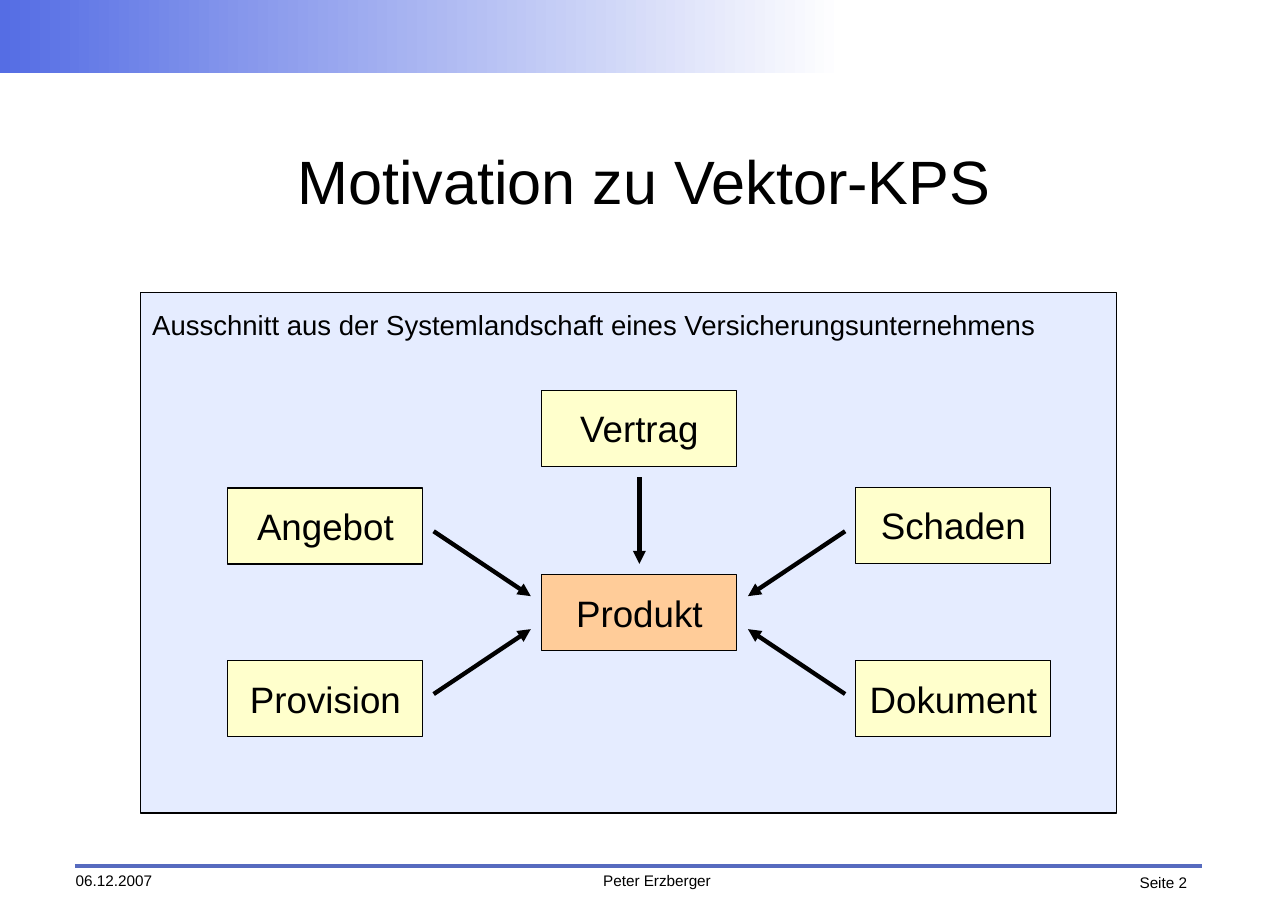
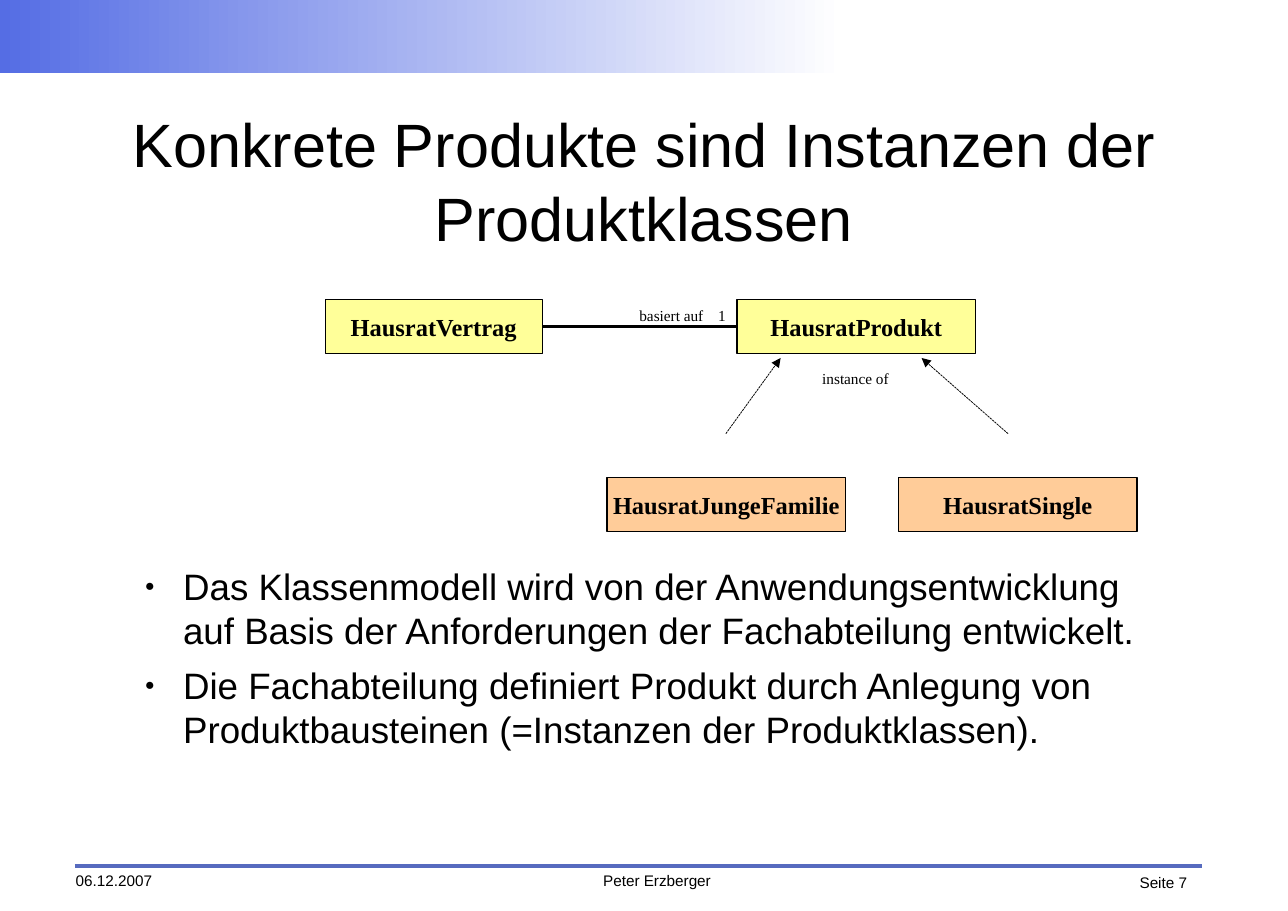
from dataclasses import dataclass

from lxml.etree import SubElement
from pptx import Presentation
from pptx.dml.color import RGBColor
from pptx.enum.dml import MSO_LINE
from pptx.enum.shapes import MSO_CONNECTOR, MSO_SHAPE
from pptx.enum.text import MSO_ANCHOR, PP_ALIGN
from pptx.oxml.ns import qn
from pptx.util import Pt


@dataclass(frozen=True)
class Theme:
    black: str = "000000"
    white: str = "FFFFFF"
    band: str = "556DE4"
    rule: str = "576BBF"
    panel: str = "0047FF"
    system: str = "FFFFCC"
    model_class: str = "FFFF99"
    product: str = "FFCC99"
    sans: str = "Arial"
    serif: str = "Times New Roman"
    title_size: float = 40
    body_size: float = 24
    caption_size: float = 18
    class_size: float = 16
    small_size: float = 10
    hairline: float = 0
    dotted_width: float = 0.5
    thick: float = 2.83


class DeckBuilder:
    """Holds the theme and the page being filled; lengths are in points."""

    def __init__(self, theme):
        self.theme = theme
        self.deck = Presentation()
        self.deck.slide_width = Pt(842)
        self.deck.slide_height = Pt(595.5)
        self.page = None

    def new_page(self, title, number):
        """Start a page with the shared band, title and footer."""
        theme = self.theme
        self.page = self.deck.slides.add_slide(self.deck.slide_layouts[6])
        self.band()
        self.line((49, 566.3), (785.5, 566.3), theme.thick, color=theme.rule)
        self.text((49.5, 569.5, 84, 14), "06.12.2007", theme.small_size)
        self.text((371.5, 569.5, 116, 14), "Peter Erzberger", theme.small_size,
                  align=PP_ALIGN.CENTER)
        self.text((720, 571, 56, 14), f"Seite {number}", theme.small_size,
                  align=PP_ALIGN.RIGHT)
        self.text((85.7, 68.4, 670.3, 98.6), title, theme.title_size,
                  align=PP_ALIGN.CENTER, anchor=MSO_ANCHOR.MIDDLE)

    def band(self):
        band = self.rectangle((0, 0, 552, 48))
        band.line.fill.background()
        band.fill.gradient()
        band.fill.gradient_angle = 0
        for stop, color in zip(band.fill.gradient_stops,
                               (self.theme.band, self.theme.white)):
            stop.color.rgb = RGBColor.from_string(color)

    def rectangle(self, frame):
        shape = self.page.shapes.add_shape(MSO_SHAPE.RECTANGLE, *map(Pt, frame))
        shape.shadow.inherit = False
        return shape

    def box(self, frame, fill, text="", size=None, font=None, bold=False):
        """Add a hairline-framed rectangle with centred text."""
        box = self.rectangle(frame)
        box.fill.solid()
        box.fill.fore_color.rgb = RGBColor.from_string(fill)
        box.line.color.rgb = RGBColor.from_string(self.theme.black)
        box.line.width = Pt(self.theme.hairline)
        if text:
            self.prepare(box.text_frame, MSO_ANCHOR.MIDDLE)
            self.add_span(box.text_frame.paragraphs[0], text, size, font,
                          PP_ALIGN.CENTER, bold)
        return box

    def panel(self, frame, opacity):
        panel = self.box(frame, self.theme.panel)
        color = panel.element.spPr.find(qn("a:solidFill"))[0]
        SubElement(color, qn("a:alpha"), val=str(opacity * 1000))

    def text(self, frame, text, size, font=None, align=PP_ALIGN.LEFT,
             anchor=MSO_ANCHOR.TOP):
        box = self.page.shapes.add_textbox(*map(Pt, frame))
        self.prepare(box.text_frame, anchor)
        self.add_span(box.text_frame.paragraphs[0], text, size, font, align)

    def bullets(self, frame, items):
        text_frame = self.page.shapes.add_textbox(*map(Pt, frame)).text_frame
        self.prepare(text_frame, MSO_ANCHOR.TOP)
        for index, item in enumerate(items):
            para = text_frame.add_paragraph() if index else text_frame.paragraphs[0]
            self.add_span(para, item, self.theme.body_size)
            para.space_after = Pt(7.1)
            properties = para._p.get_or_add_pPr()
            properties.set("marL", str(Pt(34)))
            properties.set("indent", str(Pt(-25)))
            SubElement(properties, qn("a:buSzPct"), val="45000")
            SubElement(properties, qn("a:buFont"), typeface=self.theme.sans)
            SubElement(properties, qn("a:buChar"), char="●")

    def prepare(self, text_frame, anchor):
        """Wrap the text, drop the insets and set the anchor."""
        text_frame.word_wrap = True
        text_frame.vertical_anchor = anchor
        text_frame.margin_left = text_frame.margin_right = Pt(0)
        text_frame.margin_top = text_frame.margin_bottom = Pt(0)

    def add_span(self, para, text, size, font=None, align=PP_ALIGN.LEFT, bold=False):
        para.alignment = align
        span = para.add_run()
        span.text = text
        span.font.name = font or self.theme.sans
        span.font.size = Pt(size)
        span.font.bold = bold
        span.font.color.rgb = RGBColor.from_string(self.theme.black)

    def line(self, start, end, width, color=None, arrow=False, dotted=False):
        line = self.page.shapes.add_connector(
            MSO_CONNECTOR.STRAIGHT, *map(Pt, (*start, *end)))
        line.line.color.rgb = RGBColor.from_string(color or self.theme.black)
        line.line.width = Pt(width)
        if dotted:
            line.line.dash_style = MSO_LINE.SQUARE_DOT
        properties = line.element.spPr
        if arrow:
            SubElement(properties.find(qn("a:ln")), qn("a:tailEnd"), type="triangle")
        SubElement(properties, qn("a:effectLst"))
        return line

    def association(self, source, target):
        """Join the right side of source to the left side of target."""
        line = self.line((0, 0), (0, 0), self.theme.hairline)
        line.begin_connect(source, 3)
        line.end_connect(target, 1)


def build_motivation(builder):
    theme = builder.theme
    builder.new_page("Motivation zu Vektor-KPS", 2)
    builder.panel((92, 191.5, 638, 340), opacity=10)
    builder.text((99.5, 201.6, 638, 32),
                 "Ausschnitt aus der Systemlandschaft eines Versicherungsunternehmens",
                 theme.caption_size)

    left, column_step = 149, 205.25
    for name, column, top, fill in (
        ("Vertrag", 1, 255, theme.system),
        ("Angebot", 0, 319, theme.system),
        ("Schaden", 2, 318.5, theme.system),
        ("Dokument", 2, 432, theme.system),
        ("Provision", 0, 432, theme.system),
        ("Produkt", 1, 375.8, theme.product),
    ):
        builder.box((left + column * column_step, top, 127.5, 49.7), fill,
                    name, theme.body_size)

    center_x, center_y = 418, 400.5
    builder.line((center_x, 312), (center_x, 368.6), theme.thick, arrow=True)
    for side in (-1, 1):
        for level in (-1, 1):
            builder.line((center_x + side * 134.5, center_y + level * 53.2),
                         (center_x + side * 71, center_y + level * 10.8),
                         theme.thick, arrow=True)


def build_instances(builder):
    theme = builder.theme
    builder.new_page("Konkrete Produkte sind Instanzen der Produktklassen", 7)
    builder.bullets((85.7, 368.6, 670.3, 148), (
        "Das Klassenmodell wird von der Anwendungsentwicklung auf Basis der "
        "Anforderungen der Fachabteilung entwickelt.",
        "Die Fachabteilung definiert Produkt durch Anlegung von "
        "Produktbausteinen (=Instanzen der Produktklassen).",
    ))

    class_row, instance_row = 195.8, 312
    contract, product, _, _ = [
        builder.box((left, top, width, 35.3), fill, name,
                    theme.class_size, theme.serif, bold=True)
        for name, left, top, width, fill in (
            ("HausratVertrag", 212.5, class_row, 142, theme.model_class),
            ("HausratProdukt", 481.8, class_row, 156, theme.model_class),
            ("HausratJungeFamilie", 396.8, instance_row, 156, theme.product),
            ("HausratSingle", 587.3, instance_row, 156, theme.product),
        )
    ]
    builder.association(contract, product)
    for start_x, end_x in ((474.5, 510.3), (659, 602.5)):
        builder.line((start_x, 283.5), (end_x, 234), theme.dotted_width,
                     arrow=True, dotted=True)

    for label, left, top, width, align in (
        ("basiert auf", 418, 200, 48, PP_ALIGN.LEFT),
        ("1", 469.5, 200, 8, PP_ALIGN.LEFT),
        ("instance of", 530.5, 241.5, 57.5, PP_ALIGN.CENTER),
    ):
        builder.text((left, top, width, 11.5), label, theme.small_size,
                     theme.serif, align)


def main():
    builder = DeckBuilder(Theme())
    build_motivation(builder)
    build_instances(builder)
    builder.deck.save("out.pptx")


if __name__ == "__main__":
    main()
